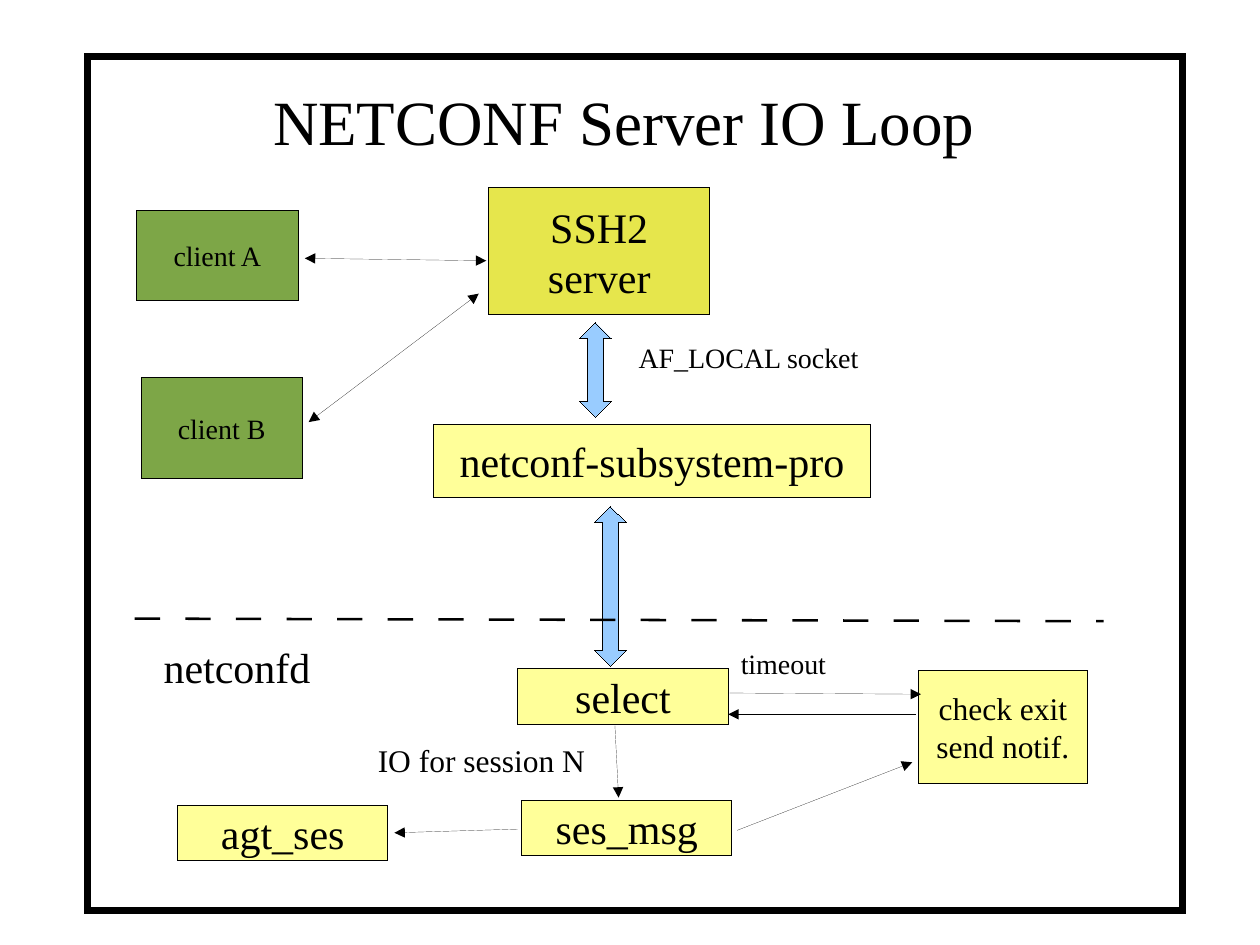
from lxml import etree
from pptx import Presentation
from pptx.dml.color import RGBColor
from pptx.enum.shapes import MSO_CONNECTOR as Connector, MSO_SHAPE as Shape
from pptx.enum.text import MSO_ANCHOR as Anchor, MSO_AUTO_SIZE as AutoSize, PP_ALIGN as Align
from pptx.oxml.ns import qn
from pptx.util import Pt

COLORS = {
    "black": "000000", "white": "FFFFFF", "green": "7DA647",
    "gold": "E6E64C", "yellow": "FFFF99", "blue": "99CCFF",
}
FONT = "Times New Roman"
HAIRLINE = 0.01  # a width of zero would fall back to the theme's line

presentation = Presentation()
presentation.slide_width, presentation.slide_height = Pt(720), Pt(540)
slide = presentation.slides.add_slide(presentation.slide_layouts[6])


def add_box(kind, place, color, line_width=HAIRLINE):
    shape = slide.shapes.add_shape(kind, *map(Pt, place))
    shape.shadow.inherit = False
    shape.fill.solid()
    shape.fill.fore_color.rgb = RGBColor.from_string(COLORS[color])
    shape.line.color.rgb = RGBColor.from_string(COLORS["black"])
    shape.line.width = Pt(line_width)
    etree.SubElement(shape.line._get_or_add_ln(), qn("a:miter"), lim="800000")
    return shape


def write(shape, text, size, align, frame_format):
    frame = shape.text_frame
    for name, value in frame_format.items():
        setattr(frame, name, value)
    paragraph = frame.paragraphs[0]
    paragraph.text = text
    paragraph.alignment = align
    for run in paragraph.runs:
        for name, value in {"size": Pt(size), "name": FONT}.items():
            setattr(run.font, name, value)
        run.font.color.rgb = RGBColor.from_string(COLORS["black"])


# Frame around the slide
add_box(Shape.RECTANGLE, (50, 32, 625.7, 488.2), "white", 4)

# Process boxes
small = (120.2, 31.7)
boxes = [
    ("client A", 16, "green", (77.8, 120.2, 92.9, 51.8)),
    ("client B", 16, "green", (80.6, 216, 92.2, 57.6)),
    ("SSH2\nserver", 24, "gold", (279.4, 107.3, 126, 72.7)),
    ("netconf-subsystem-pro", 24, "yellow", (247.7, 242.6, 249.8, 41.8)),
    ("select", 24, "yellow", (295.9, 382.3, *small)),
    ("ses_msg", 24, "yellow", (298.1, 457.2, *small)),
    ("agt_ses", 24, "yellow", (101.5, 460.1, *small)),
    ("check exit\nsend notif.", 18, "yellow", (524.9, 383, 96.5, 64.8)),
]
box_format = {"word_wrap": False, "vertical_anchor": Anchor.MIDDLE}
for text, size, color, place in boxes:
    write(add_box(Shape.RECTANGLE, place, color), text, size, Align.CENTER, box_format)

# Block arrows between the layers: head length, then shaft width
for place, head in [((331.2, 184.3, 18, 54), 0.6), ((339.8, 289.4, 18, 91.4), 1.0)]:
    arrow = add_box(Shape.UP_DOWN_ARROW, place, "blue")
    arrow.adjustments[0] = head
    arrow.adjustments[1] = 0.5

# Title and labels
labels = [
    ("NETCONF Server IO Loop", 36, (149, 43.9, 415.4, 50.4)),
    ("AF_LOCAL socket", 16, (357.8, 190.8, 140.4, 26.6)),
    ("netconfd", 24, (86.4, 362.9, 98.6, 36)),
    ("timeout", 16, (416.2, 365.8, 63.4, 27.4)),
    ("IO for session N", 18, (208.8, 419.8, 136, 28.8)),
]
label_format = {"word_wrap": False, "auto_size": AutoSize.SHAPE_TO_FIT_TEXT,
                "vertical_anchor": Anchor.TOP}
for text, size, place in labels:
    write(slide.shapes.add_textbox(*map(Pt, place)), text, size, Align.LEFT, label_format)

# Thin arrows and the dashed border of netconfd
both, end = ("headEnd", "tailEnd"), ("tailEnd",)
lines = [
    ((174.2, 147.6, 277.9, 149), HAIRLINE, both),
    ((176.4, 241.2, 273.6, 167.8), HAIRLINE, both),
    ((351.4, 414.7, 353.5, 455.8), HAIRLINE, end),
    ((421.2, 474.5, 521.3, 435.6), HAIRLINE, end),
    ((416.9, 396, 526.3, 396.7), HAIRLINE, end),
    ((523.4, 408.2, 416.2, 408.2), HAIRLINE, end),
    ((295.9, 473.8, 225.4, 475.9), HAIRLINE, end),
    ((77, 353.5, 630.7, 355), 1.45, ()),
]
for points, width, heads in lines:
    connector = slide.shapes.add_connector(Connector.STRAIGHT, *map(Pt, points))
    connector.line.color.rgb = RGBColor.from_string(COLORS["black"])
    connector.line.width = Pt(width)
    properties = connector.line._get_or_add_ln()
    if not heads:
        dash = etree.SubElement(properties, qn("a:custDash"))
        etree.SubElement(dash, qn("a:ds"), d="1000000", sp="1000000")
    for head in heads:
        etree.SubElement(properties, qn("a:" + head), type="triangle")
    etree.SubElement(connector._element.spPr, qn("a:effectLst"))

presentation.save("out.pptx")
